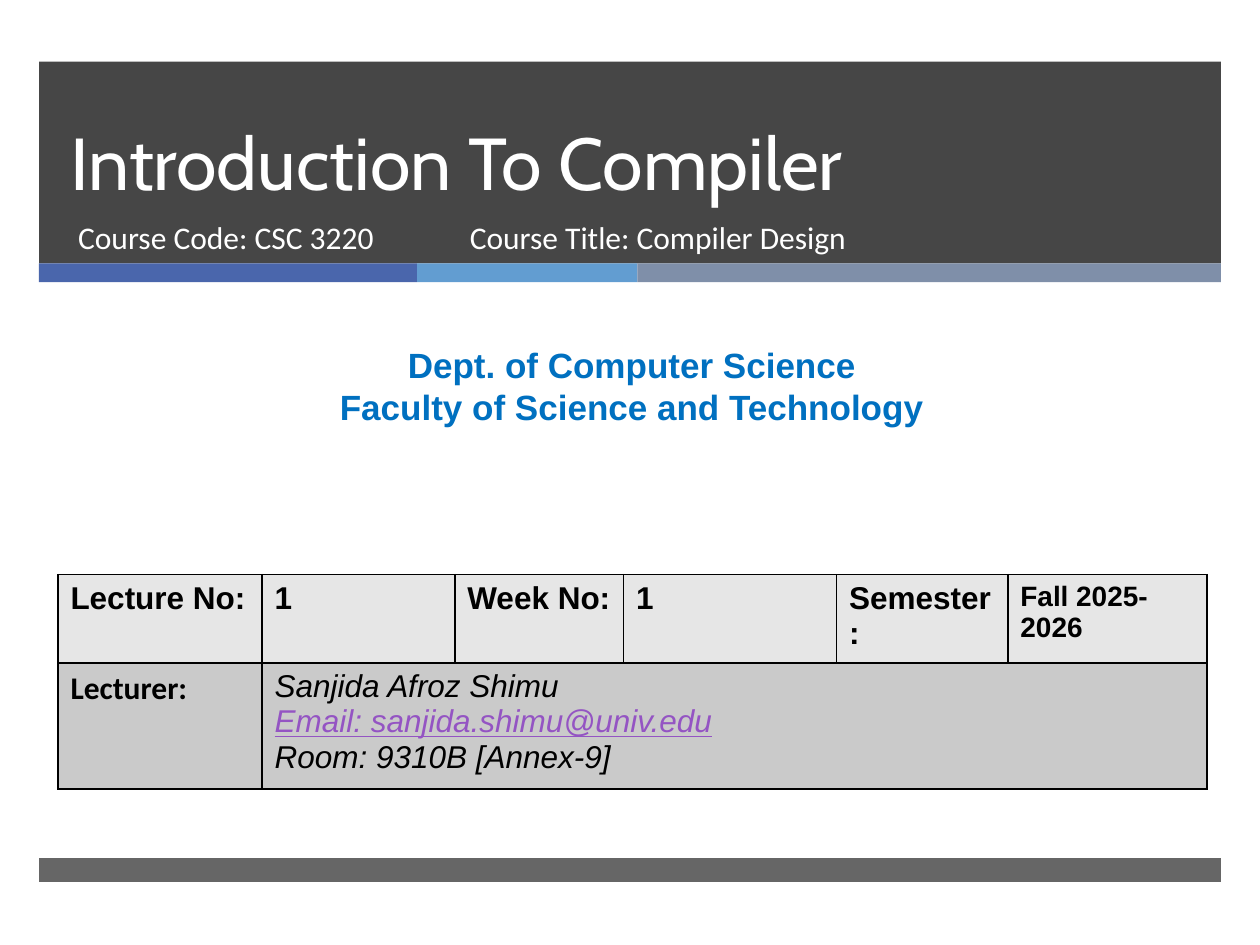
from itertools import accumulate

from lxml.etree import SubElement
from pptx import Presentation
from pptx.dml.color import RGBColor
from pptx.enum.shapes import MSO_SHAPE
from pptx.enum.text import MSO_ANCHOR, MSO_AUTO_SIZE, PP_ALIGN
from pptx.oxml.ns import qn
from pptx.util import Inches, Pt

WIDTH, HEIGHT = 10, 7.5
MARGIN = 0.31
BAND_WIDTH = WIDTH - 2 * MARGIN
HEADER_TOP, STRIPE_TOP, STRIPE_HEIGHT = 0.49, 2.09, 0.15
SUBTITLE_TOP, SUBTITLE_HEIGHT = 1.68, 0.53
STRIPES = [(3, "4A66AC"), (1.75, "629DD1"), (4.63, "7F8FA9")]
COLUMNS = [1.62, 1.53, 1.34, 1.69, 1.36, 1.58]
ROWS = [0.7, 1]

TITLE = {"name": "Cabin", "size": 42, "color": "FFFFFF", "bold": False}
COURSE = {"name": "Calibri", "size": 18, "color": "FFFFFF"}
DEPARTMENT = {"name": "Arial", "size": 20, "color": "0070C0", "bold": True}
LABEL = {"name": "Arial", "size": 18, "color": "000000", "bold": True}
DETAIL = LABEL | {"bold": False, "italic": True}
EMAIL = DETAIL | {"color": "9454C3", "underline": True}


def color(value):
    return RGBColor.from_string(value)


def paint(fill, value, opacity=100):
    fill.solid()
    fill.fore_color.rgb = color(value)
    if opacity < 100:
        tint = fill._xPr.find(".//" + qn("a:srgbClr"))
        SubElement(tint, qn("a:alpha"), val=str(opacity * 1000))


def style_font(font, values):
    for key, value in values.items():
        if key == "color":
            font.color.rgb = color(value)
        else:
            setattr(font, key, Pt(value) if key == "size" else value)


def write(frame, lines, align=PP_ALIGN.LEFT, spacing=1):
    for index, (text, values) in enumerate(lines):
        para = frame.add_paragraph() if index else frame.paragraphs[0]
        para.alignment = align
        para.line_spacing = spacing
        para.space_before = Pt(0)
        span = para.add_run()
        span.text = text
        style_font(span.font, values)


def add_band(page, left, top, width, height, value, opacity=100):
    band = page.shapes.add_shape(
        MSO_SHAPE.RECTANGLE, *map(Inches, (left, top, width, height)))
    band.shadow.inherit = False
    band.line.fill.background()
    paint(band.fill, value, opacity)


def add_bands(page):
    add_band(page, MARGIN, HEADER_TOP, BAND_WIDTH,
             STRIPE_TOP - HEADER_TOP, "262626", 85)
    lefts = accumulate((width for width, _ in STRIPES), initial=MARGIN)
    for left, (width, value) in zip(lefts, STRIPES):
        add_band(page, left, STRIPE_TOP, width, STRIPE_HEIGHT, value)
    add_band(page, MARGIN, 6.81, BAND_WIDTH, 0.19, "262626", 70)


def place(page, box, left, top, width, height):
    box.left, box.top, box.width, box.height = map(
        Inches, (left, top, width, height))
    page.shapes._spTree.append(box._element)


def fill_placeholder(page, box, area, text, values, anchor, spacing=1):
    place(page, box, *area)
    frame = box.text_frame
    frame.vertical_anchor = anchor
    frame.auto_size = MSO_AUTO_SIZE.NONE
    write(frame, [(text, values)], spacing=spacing)


def add_text(page, area, lines, align=PP_ALIGN.LEFT):
    box = page.shapes.add_textbox(*map(Inches, area))
    box.text_frame.word_wrap = True
    write(box.text_frame, lines, align)


def add_borders(cell):
    properties = cell._tc.get_or_add_tcPr()
    for index, side in enumerate(("lnL", "lnR", "lnT", "lnB")):
        line = properties.makeelement(qn("a:" + side), {"w": str(Pt(1))})
        properties.insert(index, line)
        fill = SubElement(line, qn("a:solidFill"))
        SubElement(fill, qn("a:srgbClr"), val="000000")


def add_lecture_table(page):
    table = page.shapes.add_table(
        len(ROWS), len(COLUMNS), Inches(0.46), Inches(4.56),
        Inches(sum(COLUMNS)), Inches(sum(ROWS))).table
    for column, width in zip(table.columns, COLUMNS):
        column.width = Inches(width)
    for row, height, value in zip(table.rows, ROWS, ("E6E6E6", "CACACA")):
        row.height = Inches(height)
        for cell in row.cells:
            paint(cell.fill, value)
            add_borders(cell)
    table.cell(1, 1).merge(table.cell(1, len(COLUMNS) - 1))

    headings = ["Lecture No:", "1", "Week No:", "1", "Semester:"]
    for column, text in enumerate(headings):
        write(table.cell(0, column).text_frame, [(text, LABEL)])
    write(table.cell(0, 5).text_frame,
          [("Fall 2025-2026", LABEL | {"size": 16})])
    write(table.cell(1, 0).text_frame,
          [("Lecturer:", LABEL | {"name": "Calibri"})])
    write(table.cell(1, 1).text_frame, [
        ("Sanjida Afroz Shimu", DETAIL),
        ("Email: sanjida.shimu@univ.edu", EMAIL),
        ("Room: 9310B [Annex-9]", DETAIL),
    ])


def main():
    deck = Presentation()
    deck.slide_width, deck.slide_height = Inches(WIDTH), Inches(HEIGHT)
    page = deck.slides.add_slide(deck.slide_layouts[0])
    add_bands(page)
    fill_placeholder(page, page.shapes.title, (0.46, HEADER_TOP, 8.54, 1.19),
                     "Introduction To Compiler", TITLE,
                     MSO_ANCHOR.BOTTOM, 1.1)
    fill_placeholder(page, page.placeholders[1],
                     (0.52, SUBTITLE_TOP, 3.05, SUBTITLE_HEIGHT),
                     "Course Code: CSC 3220", COURSE, MSO_ANCHOR.TOP)
    add_text(page, (0.08, 2.68, 9.87, 0.77), [
        ("Dept. of Computer Science", DEPARTMENT),
        ("Faculty of Science and Technology", DEPARTMENT),
    ], PP_ALIGN.CENTER)
    add_lecture_table(page)
    add_text(page, (3.63, SUBTITLE_TOP, 4.55, SUBTITLE_HEIGHT),
             [("Course Title: Compiler Design", COURSE)])
    deck.save("out.pptx")


if __name__ == "__main__":
    main()
